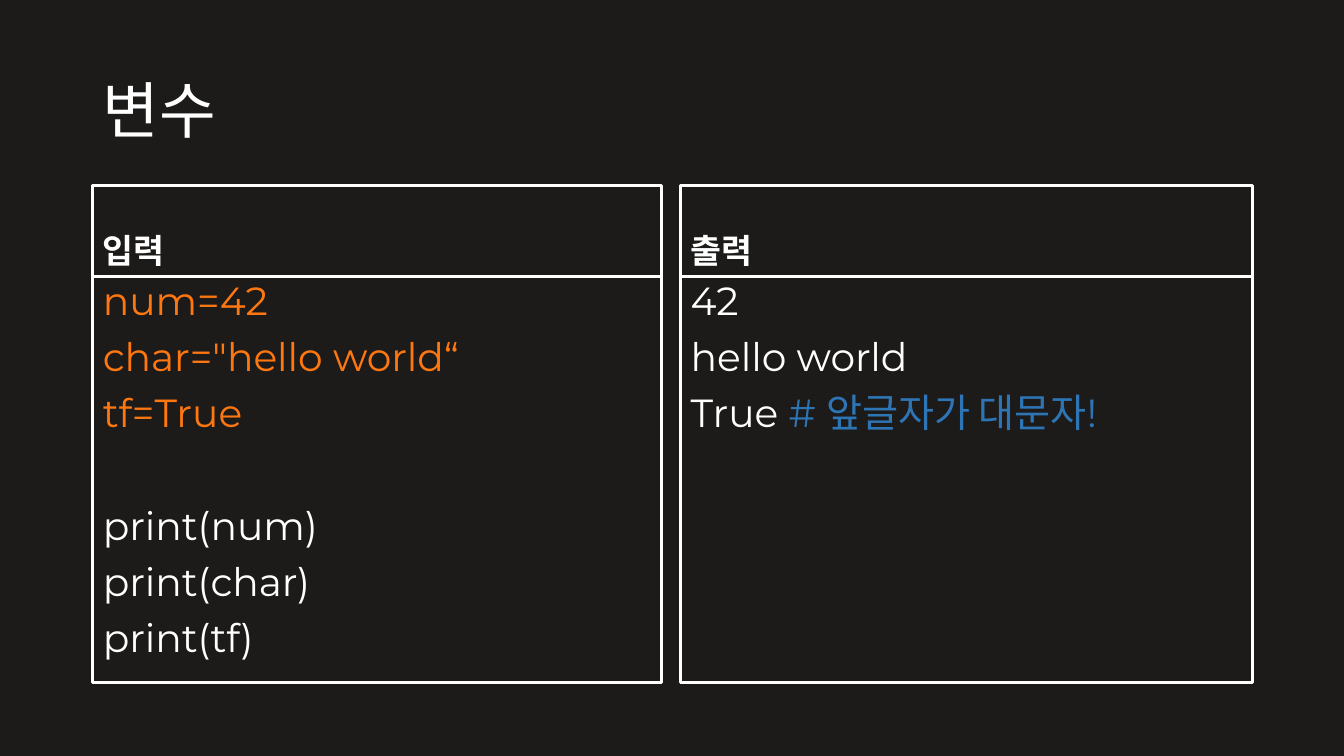
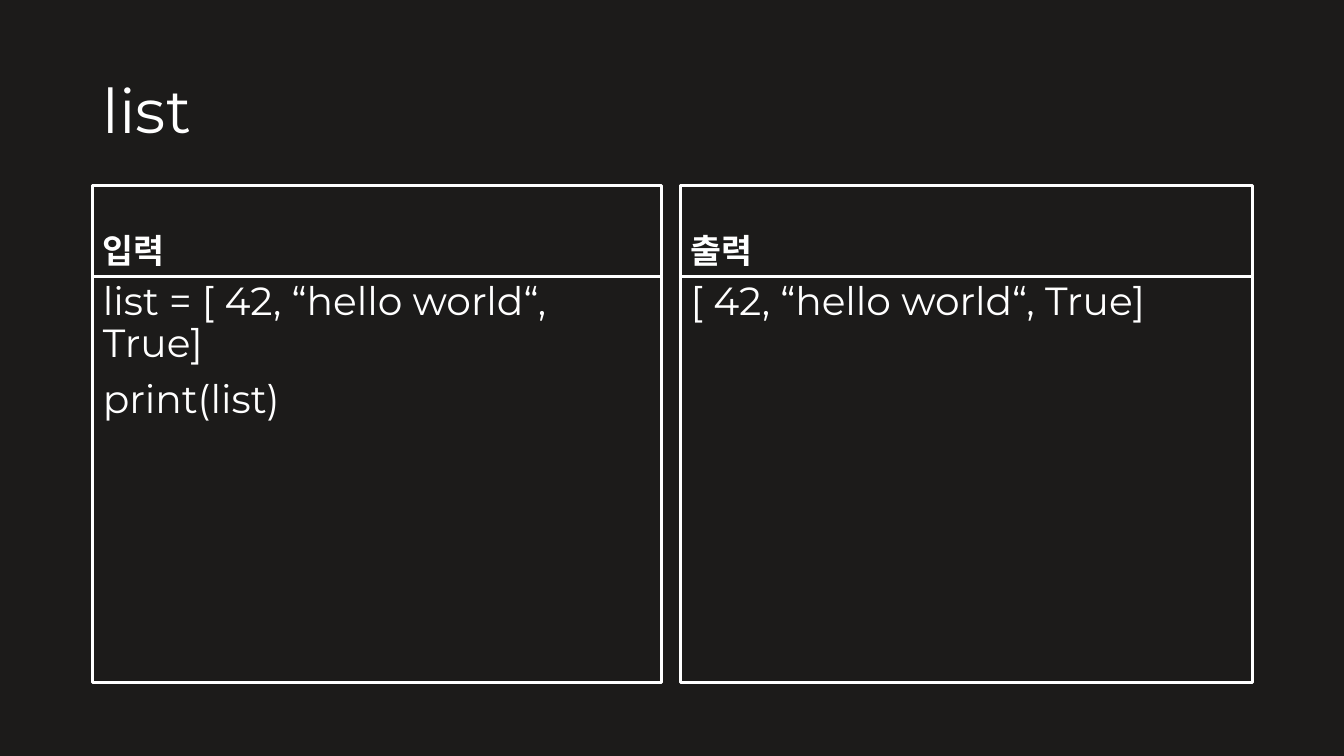
from dataclasses import dataclass

from lxml import etree
from pptx import Presentation
from pptx.dml.color import RGBColor
from pptx.enum.text import MSO_ANCHOR, MSO_AUTO_SIZE, PP_ALIGN
from pptx.oxml.ns import qn
from pptx.util import Inches, Pt

LEFT = PP_ALIGN.LEFT
TOP, MIDDLE, BOTTOM = MSO_ANCHOR.TOP, MSO_ANCHOR.MIDDLE, MSO_ANCHOR.BOTTOM
NO_AUTOFIT = MSO_AUTO_SIZE.NONE


@dataclass(frozen=True)
class Theme:
    background: RGBColor = RGBColor(0x1C, 0x1B, 0x1A)
    text: RGBColor = RGBColor(0xFF, 0xFF, 0xFF)
    assignment: RGBColor = RGBColor(0xFF, 0x77, 0x10)
    remark: RGBColor = RGBColor(0x2E, 0x75, 0xB6)
    font: str = "Montserrat"
    title_size: int = 44
    heading_size: int = 24
    code_size: int = 28
    border: float = 2.25
    line_spacing: float = 0.9
    paragraph_gap: int = 10
    section_gap: int = 50


theme = Theme()

COMPARISON_LAYOUT = 4
TITLE_TOP, TITLE_HEIGHT = 0.4, 1.45
HEADING_TOP, HEADING_HEIGHT = 1.84, 0.9
CODE_TOP, CODE_HEIGHT = HEADING_TOP + HEADING_HEIGHT, 4.03
MARGIN, CONTENT_WIDTH = 0.92, 11.5
COLUMNS = [("입력", MARGIN, 5.64), ("출력", 6.75, 5.67)]

# Each line of code is a gap before it and its coloured runs.
GAP = theme.paragraph_gap
LESSONS = [
    (
        "변수",
        [
            [
                (GAP, [("num=42", theme.assignment)]),
                (GAP, [('char="hello world“', theme.assignment)]),
                (GAP, [("tf=True", theme.assignment)]),
                (theme.section_gap, [("print(num)", theme.text)]),
                (GAP, [("print(char)", theme.text)]),
                (GAP, [("print(tf)", theme.text)]),
            ],
            [
                (GAP, [("42", theme.text)]),
                (GAP, [("hello world", theme.text)]),
                (GAP, [("True ", theme.text), ("# 앞글자가 대문자!", theme.remark)]),
            ],
        ],
    ),
    (
        "list",
        [
            [
                (GAP, [("list = [ 42, “hello world“, True]", theme.text)]),
                (GAP, [("print(list)", theme.text)]),
            ],
            [(GAP, [("[ 42, “hello world“, True]", theme.text)])],
        ],
    ),
]


def fill_box(box, place, lines, size, anchor, bold=False):
    box.left, box.top, box.width, box.height = [Inches(length) for length in place]
    frame = box.text_frame
    frame.word_wrap = True
    frame.auto_size = NO_AUTOFIT
    frame.vertical_anchor = anchor
    for index, (gap, spans) in enumerate(lines):
        para = frame.add_paragraph() if index else frame.paragraphs[0]
        para.alignment = LEFT
        para.line_spacing = theme.line_spacing
        para.space_before = Pt(gap)
        properties = para._p.get_or_add_pPr()
        properties.set("marL", "0")
        properties.set("indent", "0")
        etree.SubElement(properties, qn("a:buNone"))
        for text, color in spans:
            span = para.add_run()
            span.text = text
            span.font.name = theme.font
            span.font.size = Pt(size)
            span.font.bold = bold
            span.font.color.rgb = color


def outline(box):
    box.line.color.rgb = theme.text
    box.line.width = Pt(theme.border)


deck = Presentation()
deck.slide_width, deck.slide_height = Inches(13.33), Inches(7.5)
background = deck.slide_master.background.fill
background.solid()
background.fore_color.rgb = theme.background

for title, panels in LESSONS:
    page = deck.slides.add_slide(deck.slide_layouts[COMPARISON_LAYOUT])
    title_place = (MARGIN, TITLE_TOP, CONTENT_WIDTH, TITLE_HEIGHT)
    title_line = [(0, [(title, theme.text)])]
    fill_box(page.shapes.title, title_place, title_line, theme.title_size, MIDDLE)

    for column, ((heading, left, width), code) in enumerate(zip(COLUMNS, panels)):
        heading_box = page.placeholders[1 + 2 * column]
        heading_place = (left, HEADING_TOP, width, HEADING_HEIGHT)
        heading_line = [(GAP, [(heading, theme.text)])]
        fill_box(heading_box, heading_place, heading_line, theme.heading_size, BOTTOM, True)
        outline(heading_box)

        code_box = page.placeholders[2 + 2 * column]
        code_place = (left, CODE_TOP, width, CODE_HEIGHT)
        fill_box(code_box, code_place, code, theme.code_size, TOP)
        outline(code_box)

deck.save("out.pptx")
